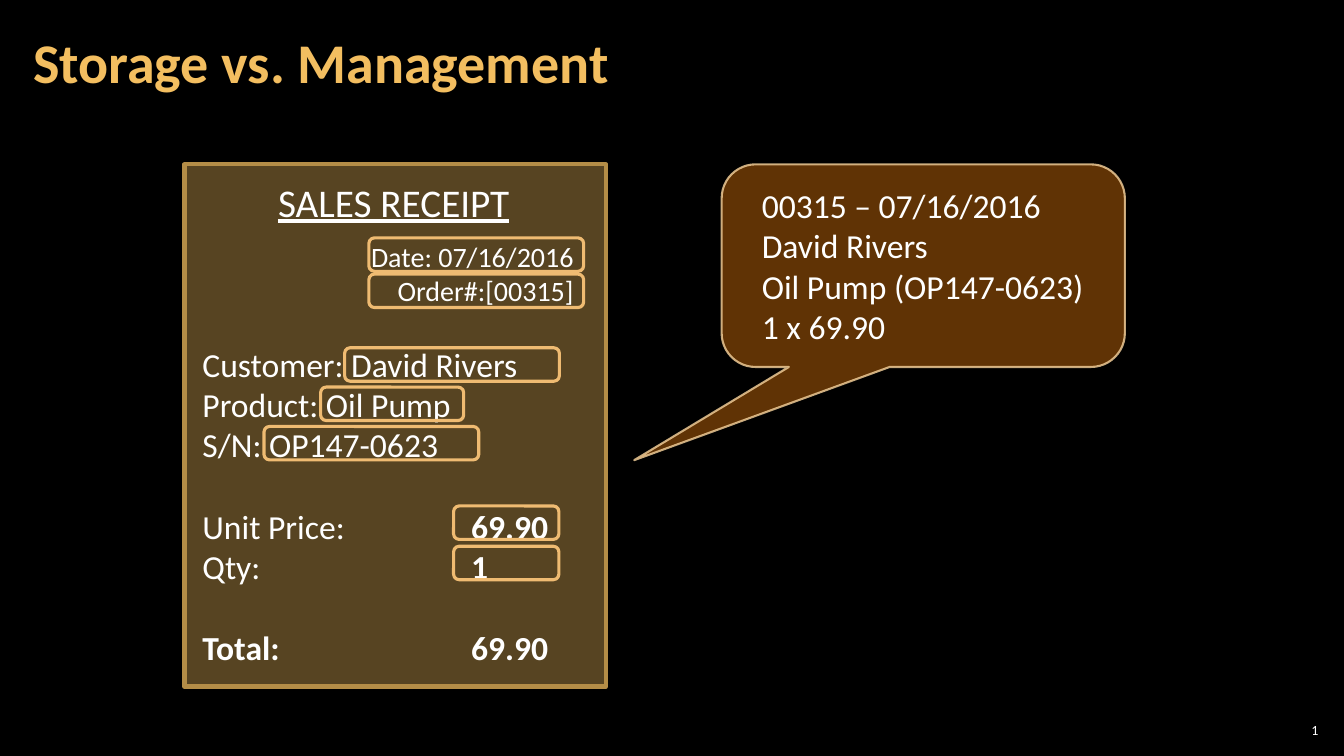
from lxml import etree
from pptx import Presentation
from pptx.dml.color import RGBColor
from pptx.enum.shapes import MSO_SHAPE
from pptx.enum.text import MSO_ANCHOR, PP_ALIGN
from pptx.oxml.ns import qn
from pptx.util import Pt

RECTANGLE = MSO_SHAPE.RECTANGLE
ROUNDED = MSO_SHAPE.ROUNDED_RECTANGLE
CALLOUT = MSO_SHAPE.ROUNDED_RECTANGULAR_CALLOUT
LEFT, RIGHT = PP_ALIGN.LEFT, PP_ALIGN.RIGHT
TOP, MIDDLE = MSO_ANCHOR.TOP, MSO_ANCHOR.MIDDLE

BLACK = RGBColor(0x00, 0x00, 0x00)
WHITE = RGBColor(0xFF, 0xFF, 0xFF)
GOLD = RGBColor(0xF3, 0xBE, 0x60)
RECEIPT_EDGE = RGBColor(0xB4, 0x8D, 0x47)
BROWN = RGBColor(0x66, 0x36, 0x06)
CREAM = RGBColor(0xF8, 0xD4, 0x9E)
HIGHLIGHT = RGBColor(0xEF, 0xBB, 0x72)

FONT = "Calibri"
BLANK_LINE = 29.3
VALUE_TAB = 192
SMALL_INSETS = (2.9, 2.9, 2.9, 2.9)
TEXT_INSETS = (7.2, 3.6, 7.2, 3.6)

HIGHLIGHTS = [
    (263.5, 169.9, 153.4),
    (263.5, 195.8, 153.4),
    (246.2, 248.4, 153.4),
    (229, 276.5, 102.2),
    (188.6, 304.6, 153.4),
    (324, 361.4, 75.2),
    (324, 390.2, 75.2),
]
HIGHLIGHT_HEIGHT = 23.9


def box(left, top, width, height):
    return Pt(left), Pt(top), Pt(width), Pt(height)


def set_opacity(fill, percent):
    color = fill._xPr.find(qn("a:solidFill"))[0]
    etree.SubElement(color, qn("a:alpha")).set("val", str(percent * 1000))


def add_outlined(slide, kind, bounds, edge, edge_width, fill=None, opacity=100):
    shape = slide.shapes.add_shape(kind, *bounds)
    shape.shadow.inherit = False
    if fill is None:
        shape.fill.background()
    else:
        shape.fill.solid()
        shape.fill.fore_color.rgb = fill
        set_opacity(shape.fill, opacity)
    shape.line.color.rgb = edge
    shape.line.width = Pt(edge_width)
    return shape


def set_frame(frame, insets, anchor, wrap=True):
    frame.word_wrap = wrap
    frame.vertical_anchor = anchor
    (frame.margin_left, frame.margin_top,
     frame.margin_right, frame.margin_bottom) = map(Pt, insets)


def add_run(paragraph, text, size, color=WHITE, bold=False, underline=False):
    run = paragraph.add_run()
    run.text = text
    font = run.font
    font.name, font.size, font.bold = FONT, Pt(size), bold
    font.underline = underline
    font.color.rgb = color


def add_lines(frame, lines, size, align=LEFT):
    for index, line in enumerate(lines):
        paragraph = frame.paragraphs[0] if index == 0 else frame.add_paragraph()
        paragraph.alignment = align
        add_run(paragraph, line, size)


def add_text_frame(slide, bounds, insets=TEXT_INSETS, anchor=TOP, wrap=True):
    frame = slide.shapes.add_textbox(*bounds).text_frame
    set_frame(frame, insets, anchor, wrap)
    return frame


def add_value_tab(paragraph):
    tabs = etree.SubElement(paragraph._p.get_or_add_pPr(), qn("a:tabLst"))
    tab = etree.SubElement(tabs, qn("a:tab"))
    tab.set("pos", str(Pt(VALUE_TAB)))
    tab.set("algn", "l")


def add_title(slide, text):
    title = slide.shapes.title
    title.left, title.top, title.width, title.height = box(15.1, 2.9, 753.8, 87.1)
    set_frame(title.text_frame, (8.6, 2.9, 8.6, 2.9), MIDDLE)
    paragraph = title.text_frame.paragraphs[0]
    paragraph.alignment = LEFT
    paragraph.line_spacing = 0.9
    add_run(paragraph, text, 40, GOLD, bold=True)


def add_receipt(slide):
    add_outlined(slide, RECTANGLE, box(131.8, 117.4, 301, 373), RECEIPT_EDGE, 3, GOLD, 36)
    heading = add_text_frame(slide, box(191.5, 123.8, 181.4, 41), wrap=False)
    add_run(heading.paragraphs[0], "SALES RECEIPT", 28, underline=True)
    order = add_text_frame(slide, box(252.7, 167.8, 164.2, 79.9))
    add_lines(order, ["Date: 07/16/2016", "Order#:[00315]"], 20, RIGHT)

    details = add_text_frame(slide, box(137.5, 241.9, 289.4, 239.8))
    add_lines(details, ["Customer: David Rivers", "Product: Oil Pump", "S/N: OP147-0623"], 24)
    amounts = [
        ("Unit Price:", "69.90", False, BLANK_LINE),
        ("Qty:", "1", False, 0),
        ("Total:", "69.90", True, BLANK_LINE),
    ]
    for label, value, bold_label, gap in amounts:
        paragraph = details.add_paragraph()
        paragraph.space_before = Pt(gap)
        add_value_tab(paragraph)
        add_run(paragraph, label + "\t", 24, bold=bold_label)
        add_run(paragraph, value, 24, bold=True)


def add_record_callout(slide):
    callout = add_outlined(slide, CALLOUT, box(515.5, 117.4, 288, 144.7), CREAM, 1.5, BROWN, 95)
    set_opacity(callout.line.fill, 80)
    for index, value in enumerate((-0.717, 0.96, 0.167)):
        callout.adjustments[index] = value
    set_frame(callout.text_frame, (21.6, 7.2, 21.6, 7.2), MIDDLE)
    record = ["00315 – 07/16/2016", "David Rivers", "Oil Pump (OP147-0623)", "1 x 69.90"]
    add_lines(callout.text_frame, record, 24)


def add_slide_number(slide):
    frame = add_text_frame(slide, box(910.8, 514.1, 33.8, 15.1), SMALL_INSETS, MIDDLE)
    paragraph = frame.paragraphs[0]
    paragraph.alignment = RIGHT
    add_run(paragraph, "1", 10)
    number = paragraph.runs[0]._r
    number.tag = qn("a:fld")
    number.set("id", "{B6F15528-21DE-4FAA-801E-634DDDAF4B2B}")
    number.set("type", "slidenum")


def main():
    deck = Presentation()
    deck.slide_width, deck.slide_height = Pt(960), Pt(540)
    slide = deck.slides.add_slide(deck.slide_layouts[5])
    slide.background.fill.solid()
    slide.background.fill.fore_color.rgb = BLACK

    add_title(slide, "Storage vs. Management")
    add_receipt(slide)
    add_record_callout(slide)
    for left, top, width in HIGHLIGHTS:
        add_outlined(slide, ROUNDED, box(left, top, width, HIGHLIGHT_HEIGHT), HIGHLIGHT, 2.25)
    add_slide_number(slide)
    deck.save("out.pptx")


if __name__ == "__main__":
    main()
